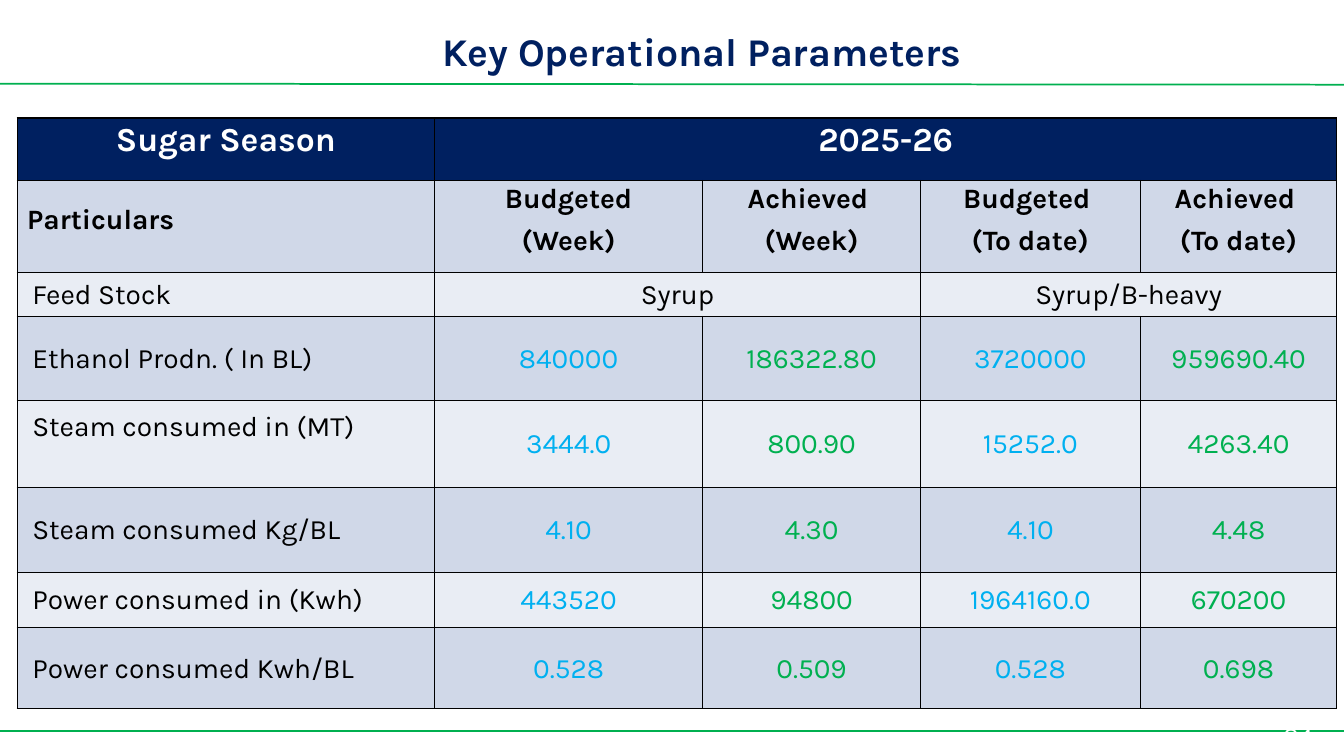
from lxml import etree
from pptx import Presentation
from pptx.dml.color import RGBColor
from pptx.enum.shapes import MSO_CONNECTOR
from pptx.enum.text import MSO_ANCHOR, PP_ALIGN
from pptx.oxml.ns import qn
from pptx.util import Pt

LEFT, CENTER = PP_ALIGN.LEFT, PP_ALIGN.CENTER
TOP, MIDDLE = MSO_ANCHOR.TOP, MSO_ANCHOR.MIDDLE
STRAIGHT = MSO_CONNECTOR.STRAIGHT

# Content
TITLE = "Key Operational Parameters"
PAGE_NUMBER = "84"
SEASON = ["Sugar Season", "2025-26", "", "", ""]
HEADINGS = ["Particulars", "Budgeted\n(Week)", "Achieved \n(Week)",
            "Budgeted \n(To date)", "Achieved \n(To date)"]
BODY = [
    ["Feed Stock", "Syrup", "", "Syrup/B-heavy", ""],
    ["Ethanol Prodn. ( In BL)", "840000", "186322.80", "3720000", "959690.40"],
    ["Steam consumed in (MT)", "3444.0", "800.90", "15252.0", "4263.40"],
    ["Steam consumed Kg/BL", "4.10", "4.30", "4.10", "4.48"],
    ["Power consumed in (Kwh)", "443520", "94800", "1964160.0", "670200"],
    ["Power consumed Kwh/BL", "0.528", "0.509", "0.528", "0.698"],
]
ROWS = [SEASON, HEADINGS] + BODY
MERGES = [(0, 1, 4), (2, 1, 2), (2, 3, 4)]  # row, first column, last column
FEED_ROW, RAISED_ROW = 2, 4

# Layout in px, 100 to the inch
PX = 9144
SLIDE_W, SLIDE_H = 1333, 750
COL_W = [414, 266, 216, 218, 195]
ROW_H = [62, 91, 44, 83, 87, 84, 55, 80]
TABLE_X, TABLE_Y = 17, 117
RULES = [(83, 84), (725, 725)]  # y at the left and right edge

FONT = "Karla"
NAVY, GREEN, BLUE = "002060", "00B050", "00B0F0"
WHITE, BLACK = "FFFFFF", "000000"
BAND_DARK, BAND_LIGHT = "D0D8E8", "E9EDF4"


def rgb(hex_color):
    return RGBColor.from_string(hex_color)


def set_attrs(obj, **values):
    for name, value in values.items():
        setattr(obj, name, value)


def write(tf, text, size, color, bold=False, align=LEFT, spacing=None):
    for i, line in enumerate(text.split("\n")):
        p = tf.add_paragraph() if i else tf.paragraphs[0]
        p.alignment = align
        if spacing:
            p.line_spacing = Pt(spacing)
        if i:
            p.space_before = Pt(15)
        r = p.add_run()
        r.text = line
        set_attrs(r.font, name=FONT, size=Pt(size), bold=bold)
        r.font.color.rgb = rgb(color)


def add_text(x, y, w, h, text, anchor, **style):
    tf = slide.shapes.add_textbox(x * PX, y * PX, w * PX, h * PX).text_frame
    set_attrs(tf, word_wrap=True, vertical_anchor=anchor)
    write(tf, text, **style)


def add_borders(cell):
    tc_pr = cell._tc.get_or_add_tcPr()
    for i, side in enumerate(("a:lnL", "a:lnR", "a:lnT", "a:lnB")):
        ln = etree.Element(qn(side), w=str(Pt(1)))
        fill = etree.SubElement(ln, qn("a:solidFill"))
        etree.SubElement(fill, qn("a:srgbClr"), val=BLACK)
        tc_pr.insert(i, ln)


def cell_style(row, col):
    if row == 0:
        return dict(size=24, color=WHITE, bold=True, align=CENTER, spacing=15)
    align = CENTER if col else LEFT
    if row == 1:
        return dict(size=20, color=BLACK, bold=True, align=align, spacing=15)
    if col == 0 or row == FEED_ROW:
        return dict(size=20, color=BLACK, align=align)
    return dict(size=20, color=BLUE if col % 2 else GREEN, align=align)


prs = Presentation()
set_attrs(prs, slide_width=SLIDE_W * PX, slide_height=SLIDE_H * PX)
slide = prs.slides.add_slide(prs.slide_layouts[6])

# Green rules above and below the table
for y_left, y_right in RULES:
    rule = slide.shapes.add_connector(STRAIGHT, 0, y_left * PX,
                                      SLIDE_W * PX, y_right * PX)
    rule.line.color.rgb = rgb(GREEN)
    rule.line.width = Pt(1.25)
    etree.SubElement(rule._element.spPr, qn("a:effectLst"))

# Page number and title
add_text(1263, 710, 67, 40, PAGE_NUMBER, TOP, size=18, color=WHITE)
add_text(425, 23, 542, 54, TITLE, MIDDLE,
         size=28, color=NAVY, bold=True, align=CENTER)

# Table
table = slide.shapes.add_table(
    len(ROWS), len(COL_W), TABLE_X * PX, TABLE_Y * PX,
    sum(COL_W) * PX, sum(ROW_H) * PX).table
for column, width in zip(table.columns, COL_W):
    column.width = width * PX
for table_row, height in zip(table.rows, ROW_H):
    table_row.height = height * PX
for row, first, last in MERGES:
    table.cell(row, first).merge(table.cell(row, last))

for row, texts in enumerate(ROWS):
    band = NAVY if row == 0 else BAND_DARK if row % 2 else BAND_LIGHT
    for col, text in enumerate(texts):
        cell = table.cell(row, col)
        cell.fill.solid()
        cell.fill.fore_color.rgb = rgb(band)
        cell.vertical_anchor = MIDDLE
        if row >= FEED_ROW:
            raised = row == RAISED_ROW and col == 0
            set_attrs(cell, margin_left=(1 if col else 15) * PX,
                      margin_right=PX, margin_top=PX,
                      margin_bottom=(34 if raised else 0) * PX)
        if text:
            write(cell.text_frame, text, **cell_style(row, col))
        add_borders(cell)

prs.save("out.pptx")
